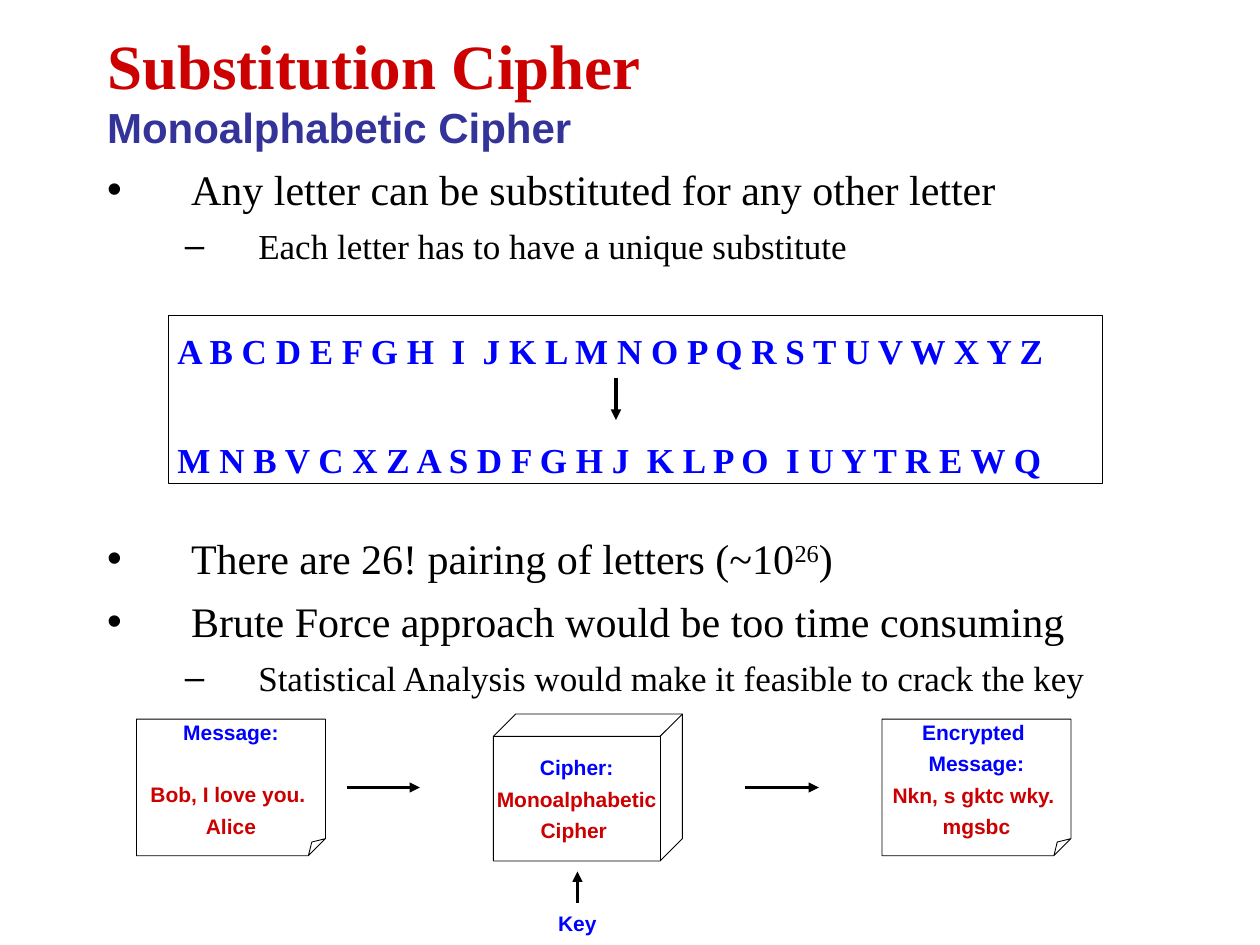
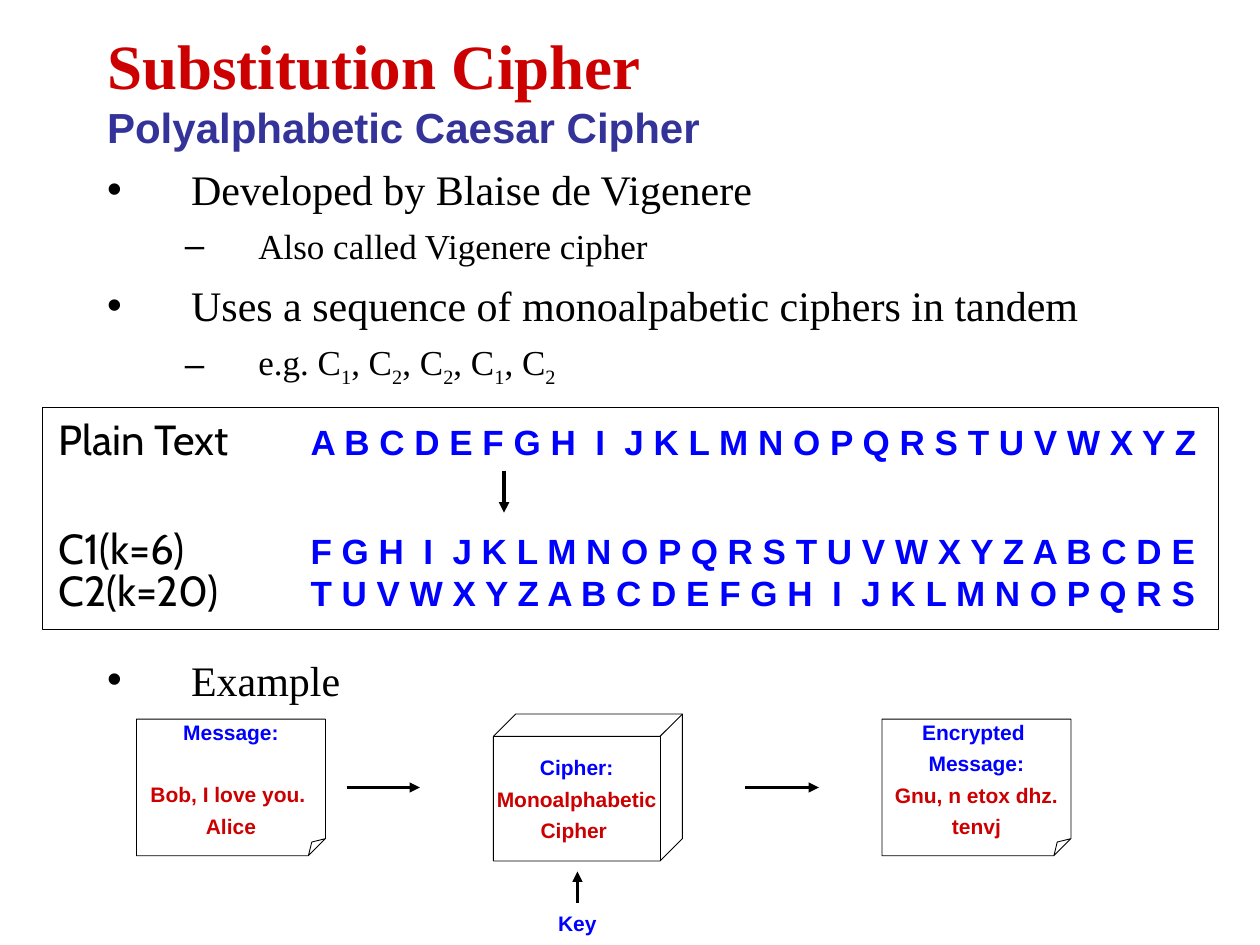
"""Build two slides on substitution ciphers."""
from lxml import etree
from pptx import Presentation
from pptx import util as u
from pptx.dml import color
from pptx.enum import shapes, text
from pptx.oxml import ns

Pt = u.Pt
RED, BLUE, INDIGO, BLACK = "CC0000", "0000FF", "333399", "000000"
SERIF, SANS, LABEL = "Times New Roman", "Arial", "Cabin"
SUPER, SUB = 30000, -25000
BULLET_LEVELS = [(24, 7.2, 48, -48), (20, 6, 86.4, -42)]
TABLE_GAP = 152
ALPHABET = "A B C D E F G H  I  J K L M N O P Q R S T U V W X Y Z"


def rgb(hex_colour):
    """Turn a hex string into a colour."""
    return color.RGBColor.from_string(hex_colour)


def add_run(line, words, size, font, colour, bold=False, baseline=0):
    """Append one formatted run to a paragraph."""
    run = line.add_run()
    run.text = words
    run.font.size = Pt(size)
    run.font.name = font
    run.font.bold = bold
    run.font.color.rgb = rgb(colour)
    if baseline:
        run._r.get_or_add_rPr().set("baseline", str(baseline))


def place(part, left, top, width, height):
    """Move and size a placeholder."""
    part.left, part.top = Pt(left), Pt(top)
    part.width, part.height = Pt(width), Pt(height)


def paragraphs(frame, count):
    """Yield the first paragraph of a frame, then new ones."""
    for index in range(count):
        yield frame.add_paragraph() if index else frame.paragraphs[0]


def add_heading(slide, subtitle):
    """Fill the title placeholder with the shared title and a subtitle."""
    heading = slide.shapes.title
    place(heading, 54, 6, 612, 90)
    frame = heading.text_frame
    frame.auto_size = text.MSO_AUTO_SIZE.NONE
    frame.vertical_anchor = text.MSO_ANCHOR.MIDDLE
    title_line, subtitle_line = paragraphs(frame, 2)
    add_run(title_line, "Substitution Cipher", 36, SERIF, RED, True)
    add_run(subtitle_line, subtitle, 24, SANS, INDIGO, True)
    for line in (title_line, subtitle_line):
        line.alignment = text.PP_ALIGN.LEFT


def add_points(slide, points, after_table):
    """Fill the body with (level, runs) points, leaving room for the table."""
    body = slide.placeholders[1]
    place(body, 54, 90, 696, 420)
    frame = body.text_frame
    frame.auto_size = text.MSO_AUTO_SIZE.NONE
    lines = paragraphs(frame, len(points))
    for index, (line, (level, runs)) in enumerate(zip(lines, points)):
        size, before, margin, indent = BULLET_LEVELS[level]
        line.level = level
        line.space_before = Pt(TABLE_GAP if index == after_table else before)
        properties = line._p.get_or_add_pPr()
        properties.set("marL", str(Pt(margin)))
        properties.set("indent", str(Pt(indent)))
        for words, baseline in runs:
            add_run(line, words, size, SERIF, BLACK, baseline=baseline)


def add_text(slide, left, top, width, height):
    """Add a wrapping text box and return its paragraph."""
    box = slide.shapes.add_textbox(Pt(left), Pt(top), Pt(width), Pt(height))
    box.text_frame.word_wrap = True
    return box.text_frame.paragraphs[0]


def add_outline(slide, kind, left, top, width, height):
    """Add an unfilled shape with a thin black line."""
    outline = slide.shapes.add_shape(kind, Pt(left), Pt(top), Pt(width), Pt(height))
    outline.shadow.inherit = False
    outline.fill.background()
    outline.line.color.rgb = rgb(BLACK)
    outline.line.width = Pt(0.5)
    return outline


def set_bend(block, bend):
    """Set the depth of a block's fold or side."""
    guides = block._element.spPr.find(ns.qn("a:prstGeom")).find(ns.qn("a:avLst"))
    for guide in list(guides):
        guides.remove(guide)
    etree.SubElement(guides, ns.qn("a:gd"), name="adj", fmla=f"val {bend}")


def add_block(slide, kind, bend, left, top, height, lines, gap_before=None):
    """Add a diagram block with centred (words, colour) lines."""
    block = add_outline(slide, kind, left, top, 108, height)
    set_bend(block, bend)
    frame = block.text_frame
    frame.word_wrap = False
    frame.vertical_anchor = text.MSO_ANCHOR.MIDDLE
    for index, line in enumerate(paragraphs(frame, len(lines))):
        line.alignment = text.PP_ALIGN.CENTER
        line.space_before = Pt(21 if index == gap_before else 3.6)
        words, colour = lines[index]
        add_run(line, words, 12, SANS, colour, True)


def add_arrow(slide, x1, y1, x2, y2, width=1.5):
    """Add a straight black arrow."""
    arrow = slide.shapes.add_connector(
        shapes.MSO_CONNECTOR.STRAIGHT, Pt(x1), Pt(y1), Pt(x2), Pt(y2))
    arrow.line.color.rgb = rgb(BLACK)
    arrow.line.width = Pt(width)
    outline = arrow._element.spPr.find(ns.qn("a:ln"))
    etree.SubElement(outline, ns.qn("a:tailEnd"), type="triangle")
    etree.SubElement(arrow._element.spPr, ns.qn("a:effectLst"))


def add_flow(slide, encrypted, signature):
    """Draw message, cipher, key and encrypted message."""
    kinds = shapes.MSO_SHAPE
    add_block(slide, kinds.FOLDED_CORNER, 12500, 78, 411, 78,
              [("Message:", BLUE), ("Bob, I love you. ", RED), ("Alice", RED)],
              gap_before=1)
    add_block(slide, kinds.CUBE, 15200, 282, 408, 84,
              [("Cipher:", BLUE), ("Monoalphabetic", RED), ("Cipher ", RED)])
    add_block(slide, kinds.FOLDED_CORNER, 12500, 504, 411, 78,
              [("Encrypted ", BLUE), ("Message:", BLUE), (encrypted, RED),
               (signature, RED)])
    for start in (198, 426):
        add_arrow(slide, start, 450, start + 42, 450)
    add_arrow(slide, 330, 516, 330, 498)
    add_run(add_text(slide, 311.8, 516.6, 40, 21), "Key", 12, SANS, BLUE, True)


def add_letter_row(slide, left, top, width, letters, font, label=None):
    """Add a row of letters, set after a label if there is one."""
    row = add_text(slide, left, top, width, 32)
    if label:
        tabs = etree.SubElement(row._p.get_or_add_pPr(), ns.qn("a:tabLst"))
        etree.SubElement(tabs, ns.qn("a:tab"), pos=str(Pt(144)), algn="l")
        add_run(row, label, 24, LABEL, BLACK)
        letters = "\t" + letters
    add_run(row, letters, 20, font, BLUE, True)


def add_monoalphabetic(deck):
    """Build the monoalphabetic cipher slide."""
    slide = deck.slides.add_slide(deck.slide_layouts[1])
    add_heading(slide, "Monoalphabetic Cipher")
    add_points(slide, [
        (0, [("Any letter can be substituted for any other letter", 0)]),
        (1, [("Each letter has to have a unique substitute", 0)]),
        (0, [("There are 26! pairing of letters (~10", 0), ("26", SUPER), (")", 0)]),
        (0, [("Brute Force approach would be too time consuming", 0)]),
        (1, [("Statistical Analysis would make it feasible to crack the key", 0)]),
    ], after_table=2)
    substitutes = "M N B V C X Z A S D F G H J  K L P O  I U Y T R E W Q"
    for top, letters in ((185, ALPHABET), (247, substitutes)):
        add_letter_row(slide, 94.3, top, 530, letters, SERIF)
    add_arrow(slide, 352, 216, 352, 240, 2)
    add_outline(slide, shapes.MSO_SHAPE.RECTANGLE, 96, 180, 534, 96)
    add_flow(slide, "Nkn, s gktc wky. ", "mgsbc")


def add_polyalphabetic(deck):
    """Build the polyalphabetic cipher slide."""
    slide = deck.slides.add_slide(deck.slide_layouts[1])
    add_heading(slide, "Polyalphabetic Caesar Cipher")
    sequence = [("e.g. C", 0), ("1", SUB)]
    for number in "2212":
        sequence += [(", C", 0), (number, SUB)]
    add_points(slide, [
        (0, [("Developed by Blaise de Vigenere", 0)]),
        (1, [("Also called Vigenere cipher", 0)]),
        (0, [("Uses a sequence of monoalpabetic ciphers in tandem", 0)]),
        (1, sequence),
        (0, [("Example", 0)]),
    ], after_table=4)
    rows = [
        (232.6, "Plain Text", ALPHABET),
        (295, "C1(k=6)", "F G H  I  J K L M N O P Q R S T U V W X Y Z A B C D E"),
        (319, "C2(k=20)", "T U V W X Y Z A B C D E F G H  I  J K L M N O P Q R S"),
    ]
    for top, label, letters in rows:
        add_letter_row(slide, 26.4, top, 680, letters, SANS, label)
    add_arrow(slide, 288, 269, 288, 293, 2)
    add_outline(slide, shapes.MSO_SHAPE.RECTANGLE, 24, 232.6, 672, 127.4)
    add_flow(slide, "Gnu, n etox dhz.", "tenvj")


def main():
    """Build and save the slides."""
    deck = Presentation()
    deck.slide_width, deck.slide_height = Pt(720), Pt(540)
    add_monoalphabetic(deck)
    add_polyalphabetic(deck)
    deck.save("out.pptx")


if __name__ == "__main__":
    main()
